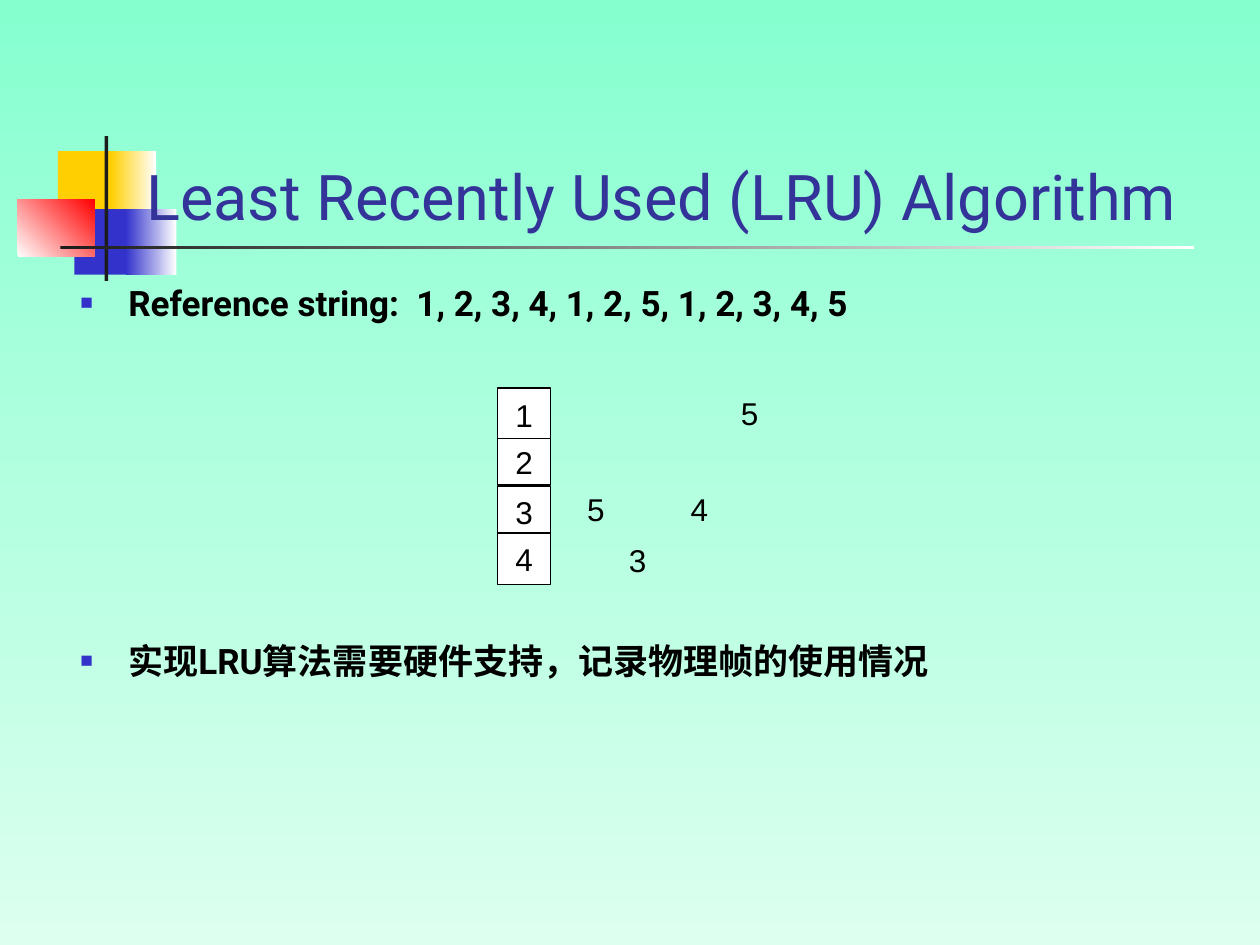
from lxml.etree import SubElement
from pptx import Presentation
from pptx.dml.color import RGBColor
from pptx.enum.shapes import MSO_SHAPE
from pptx.enum.text import MSO_ANCHOR, PP_ALIGN
from pptx.oxml.ns import qn
from pptx.util import Inches, Pt

MINT = RGBColor(0x86, 0xFF, 0xCF)
PALE = RGBColor(0xDC, 0xFF, 0xEF)
GOLD = RGBColor(0xFF, 0xCF, 0x01)
BLUE = RGBColor(0x33, 0x33, 0xCC)
NAVY = RGBColor(0x33, 0x33, 0x99)
RED = RGBColor(0xFF, 0x00, 0x00)
DARK = RGBColor(0x1C, 0x1C, 0x1C)
BLACK = RGBColor(0x00, 0x00, 0x00)
WHITE = RGBColor(0xFF, 0xFF, 0xFF)

TITLE = {"name": "Roboto", "size": Pt(36), "bold": False}
BODY = {"name": "Roboto", "size": Pt(20), "bold": True}
DIGIT = {"name": "Arial", "size": Pt(18)}
MIDDLE = {"vertical_anchor": MSO_ANCHOR.MIDDLE, "word_wrap": False}


def assign(target, values):
    """Set each attribute named in a dict of format values."""
    for name, value in values.items():
        setattr(target, name, value)


def style(font, values, color):
    """Format a font and give it a colour."""
    assign(font, values)
    font.color.rgb = color


def blend(fill, colors, angle=0):
    """Fill with a linear gradient between two colours."""
    fill.gradient()
    fill.gradient_angle = angle
    for stop, color in zip(fill.gradient_stops, colors):
        stop.color.rgb = color


def block(slide, box, colors, angle=0):
    """Add a borderless rectangle, plain or blended."""
    shape = slide.shapes.add_shape(MSO_SHAPE.RECTANGLE, *map(Inches, box))
    shape.shadow.inherit = False
    shape.line.fill.background()
    if len(colors) == 1:
        shape.fill.solid()
        shape.fill.fore_color.rgb = colors[0]
    else:
        blend(shape.fill, colors, angle)
    return shape


def emblem(slide, left, top):
    """Draw the coloured squares and the two rules from a corner."""
    parts = [
        (0.32, 0.12, 0.48, 0.52, [GOLD], 0),
        (0.74, 0.12, 0.36, 0.52, [GOLD, WHITE], 0),
        (0.45, 0.58, 0.46, 0.52, [BLUE], 0),
        (0.86, 0.58, 0.4, 0.52, [BLUE, WHITE], 0),
        (0, 0.5, 0.61, 0.46, [WHITE, RED], 45),
        (0.69, 0, 0.03, 1.15, [DARK], 0),
        (0.34, 0.87, 9, 0.03, [DARK, WHITE], 0),
    ]
    for x, y, width, height, colors, angle in parts:
        block(slide, (left + x, top + y, width, height), colors, angle)


def heading(slide, box, text):
    """Place the title in front of the emblem."""
    title = slide.shapes.title
    title.element.getparent().append(title.element)
    assign(title, dict(zip(("left", "top", "width", "height"), map(Inches, box))))
    title.text_frame.vertical_anchor = MSO_ANCHOR.BOTTOM
    para = title.text_frame.paragraphs[0]
    para.text = text
    para.alignment = PP_ALIGN.LEFT
    style(para.runs[0].font, TITLE, NAVY)


def bullet(para):
    """Give a paragraph a hanging square bullet."""
    props = para._p.get_or_add_pPr()
    props.set("marL", str(Inches(0.38)))
    props.set("indent", str(-Inches(0.38)))
    SubElement(SubElement(props, qn("a:buClr")), qn("a:srgbClr"), val=str(BLUE))
    SubElement(props, qn("a:buSzPct"), val="60000")
    SubElement(props, qn("a:buFont"), typeface="Arial")
    SubElement(props, qn("a:buChar"), char="■")


def points(slide, box, items):
    """Write bulleted lines, each with its space before in points."""
    frame = slide.shapes.add_textbox(*map(Inches, box)).text_frame
    frame.word_wrap = True
    for index, (text, gap) in enumerate(items):
        para = frame.add_paragraph() if index else frame.paragraphs[0]
        para.text = text
        assign(para, {"line_spacing": 0.9, "space_before": Pt(gap)})
        bullet(para)
        style(para.runs[0].font, BODY, BLACK)


def digit(shape, text):
    """Centre a number in a shape."""
    frame = shape.text_frame
    assign(frame, MIDDLE)
    para = frame.paragraphs[0]
    para.text = text
    para.alignment = PP_ALIGN.CENTER
    style(para.runs[0].font, DIGIT, BLACK)


def frames(slide, left, top):
    """Draw the stack of page frames and the later pages beside it."""
    cells = [(0, 0.42), (0.4, 0.37), (0.78, 0.41), (1.15, 0.41)]
    for number, (y, height) in enumerate(cells, 1):
        cell = block(slide, (left, top + y, 0.42, height), [WHITE])
        cell.line.color.rgb = BLACK
        cell.line.width = Pt(0.75)
        digit(cell, str(number))
    later = [("5", 1.83, 0), ("4", 1.43, 0.76), ("3", 0.94, 1.16), ("5", 0.61, 0.76)]
    for text, x, y in later:
        box = (left + x, top + y, 0.34, 0.4)
        digit(slide.shapes.add_textbox(*map(Inches, box)), text)


def main():
    """Build the slide and save it."""
    deck = Presentation()
    assign(deck, {"slide_width": Inches(10), "slide_height": Inches(7.5)})
    slide = deck.slides.add_slide(deck.slide_layouts.get_by_name("Title Only"))
    blend(slide.background.fill, [MINT, PALE], 270)
    emblem(slide, 0.14, 1.08)
    heading(slide, (1.06, 0.3, 8.52, 1.6), "Least Recently Used (LRU) Algorithm")
    points(slide, (0.54, 2.22, 9.24, 4.82), [
        ("Reference string:  1, 2, 3, 4, 1, 2, 5, 1, 2, 3, 4, 5", 5),
        ("实现LRU算法需要硬件支持，记录物理帧的使用情况", 183),
    ])
    frames(slide, 3.95, 3.08)
    deck.save("out.pptx")


if __name__ == "__main__":
    main()
